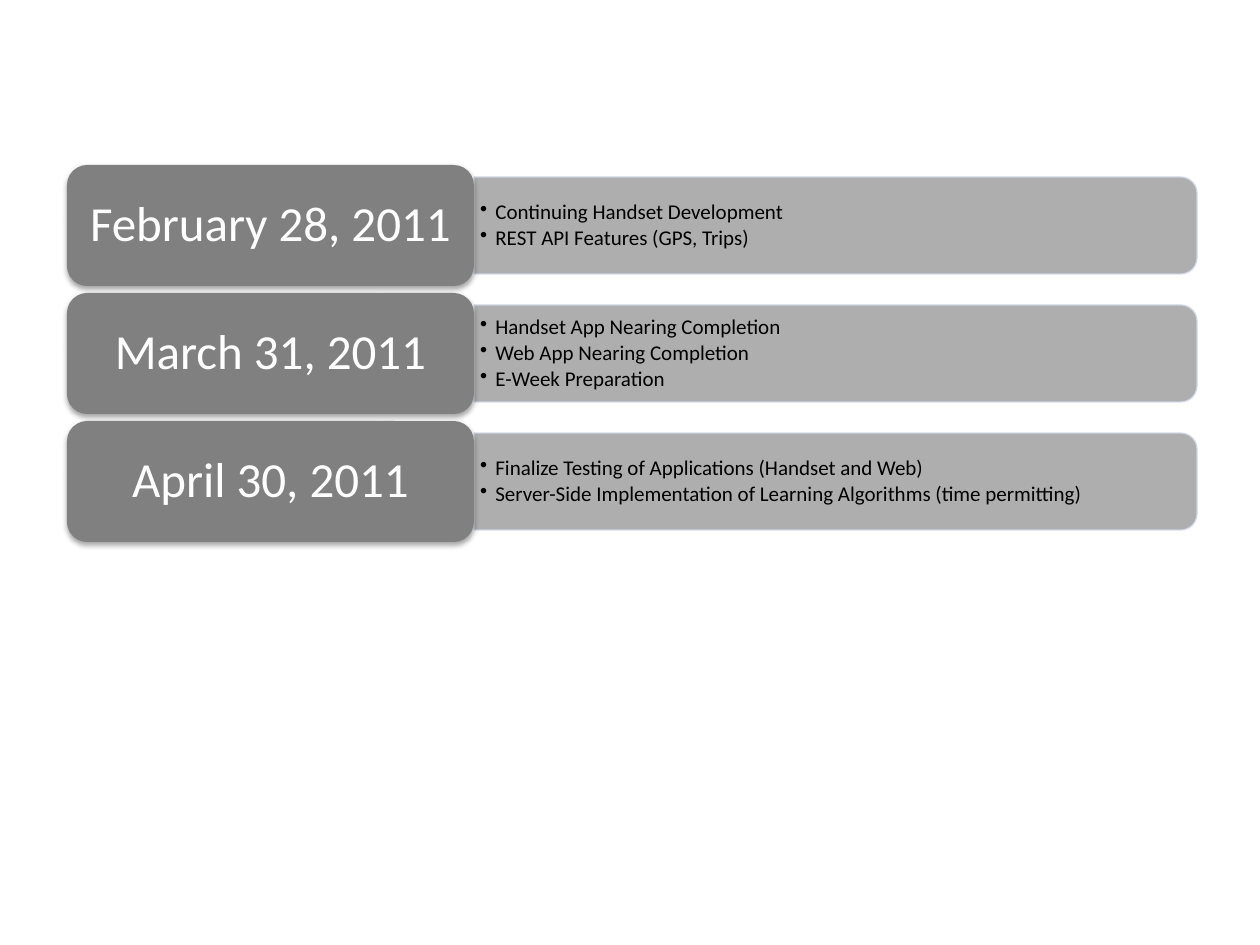
"""Build a slide of three project milestones with their tasks."""
from lxml import etree
from pptx import Presentation
from pptx import util as u
from pptx.dml.color import RGBColor
from pptx.enum import shapes, text
from pptx.oxml.ns import qn

MILESTONES = [
    ("February 28, 2011", ["Continuing Handset Development", "REST API Features (GPS, Trips)"]),
    ("March 31, 2011", ["Handset App Nearing Completion", "Web App Nearing Completion",
                        "E-Week Preparation"]),
    ("April 30, 2011", ["Finalize Testing of Applications (Handset and Web)",
                        "Server-Side Implementation of Learning Algorithms (time permitting)"]),
]
COLORS = {"card": "808080", "bar": "A6A6A6", "edge": "D0D8E8",
          "date": "FFFFFF", "task": "000000", "shadow": "000000"}
FONT = "Calibri"
PX = 914400 // 126
LEFT, TOP, PITCH = 67, 165, 128
CARD_W, CARD_H = 407, 121
BAR_W, BAR_H = 723, 97
TASKS_W, TASKS_H = 718, 88


def px(*values):
    return [u.Emu(int(v * PX)) for v in values]


def rgb(name):
    return RGBColor.from_string(COLORS[name])


def sub(parent, tag, **attrs):
    return etree.SubElement(parent, qn(tag), {k: str(v) for k, v in attrs.items()})


def add_shape(s, kind, box, fill):
    sp = s.shapes.add_shape(kind, *px(*box))
    sp.shadow.inherit = False
    sp.fill.solid()
    sp.fill.fore_color.rgb = rgb(fill)
    sp.line.fill.background()
    return sp


def write(sp, lines, size, color, align, margins):
    tf = sp.text_frame
    tf.word_wrap = True
    tf.vertical_anchor = text.MSO_ANCHOR.MIDDLE
    tf.margin_left = tf.margin_right = u.Inches(margins[0])
    tf.margin_top = tf.margin_bottom = u.Inches(margins[1])
    tf.text = "\n".join(lines)
    for p in tf.paragraphs:
        p.alignment = align
        p.line_spacing = 0.9
        for r in p.runs:
            r.font.size = u.Pt(size)
            r.font.name = FONT
            r.font.color.rgb = rgb(color)
    return tf


def add_bar(s, mid):
    x = LEFT + CARD_W + (BAR_W - BAR_H) / 2
    sp = add_shape(s, shapes.MSO_SHAPE.ROUND_2_SAME_RECTANGLE,
                   (x, mid - BAR_W / 2, BAR_H, BAR_W), "bar")
    sp.rotation = 90
    sp.line.color.rgb = rgb("edge")
    sp.line.width = u.Pt(0.75)
    for color in sp._element.spPr.iter(qn("a:srgbClr")):
        sub(color, "a:alpha", val=90000)


def add_tasks(s, mid, tasks):
    sp = s.shapes.add_textbox(*px(LEFT + CARD_W, mid - TASKS_H / 2, TASKS_W, TASKS_H))
    tf = write(sp, tasks, 12, "task", text.PP_ALIGN.LEFT, (0.05, 0.03))
    indent = u.Inches(0.12)
    for p in tf.paragraphs:
        p.space_after = u.Pt(1.8)
        pPr = p._p.get_or_add_pPr()
        pPr.set("marL", str(indent))
        pPr.set("indent", str(-indent))
        sub(pPr, "a:buChar", char="•")


def add_card(s, mid, date):
    sp = add_shape(s, shapes.MSO_SHAPE.ROUNDED_RECTANGLE,
                   (LEFT, mid - CARD_H / 2, CARD_W, CARD_H), "card")
    effects = sp._element.spPr.find(qn("a:effectLst"))
    shadow = sub(effects, "a:outerShdw", blurRad=u.Pt(3.1), dist=u.Pt(1.8),
                 dir=5400000, rotWithShape=0)
    sub(sub(shadow, "a:srgbClr", val=COLORS["shadow"]), "a:alpha", val=35000)
    write(sp, [date], 28, "date", text.PP_ALIGN.CENTER, (0.12, 0.06))


prs = Presentation()
prs.slide_width, prs.slide_height = u.Inches(10), u.Inches(7.5)
s = prs.slides.add_slide(prs.slide_layouts[6])
for i, (date, tasks) in enumerate(MILESTONES):
    mid = TOP + i * PITCH + CARD_H / 2
    add_bar(s, mid)
    add_tasks(s, mid, tasks)
    add_card(s, mid, date)
prs.save("out.pptx")
